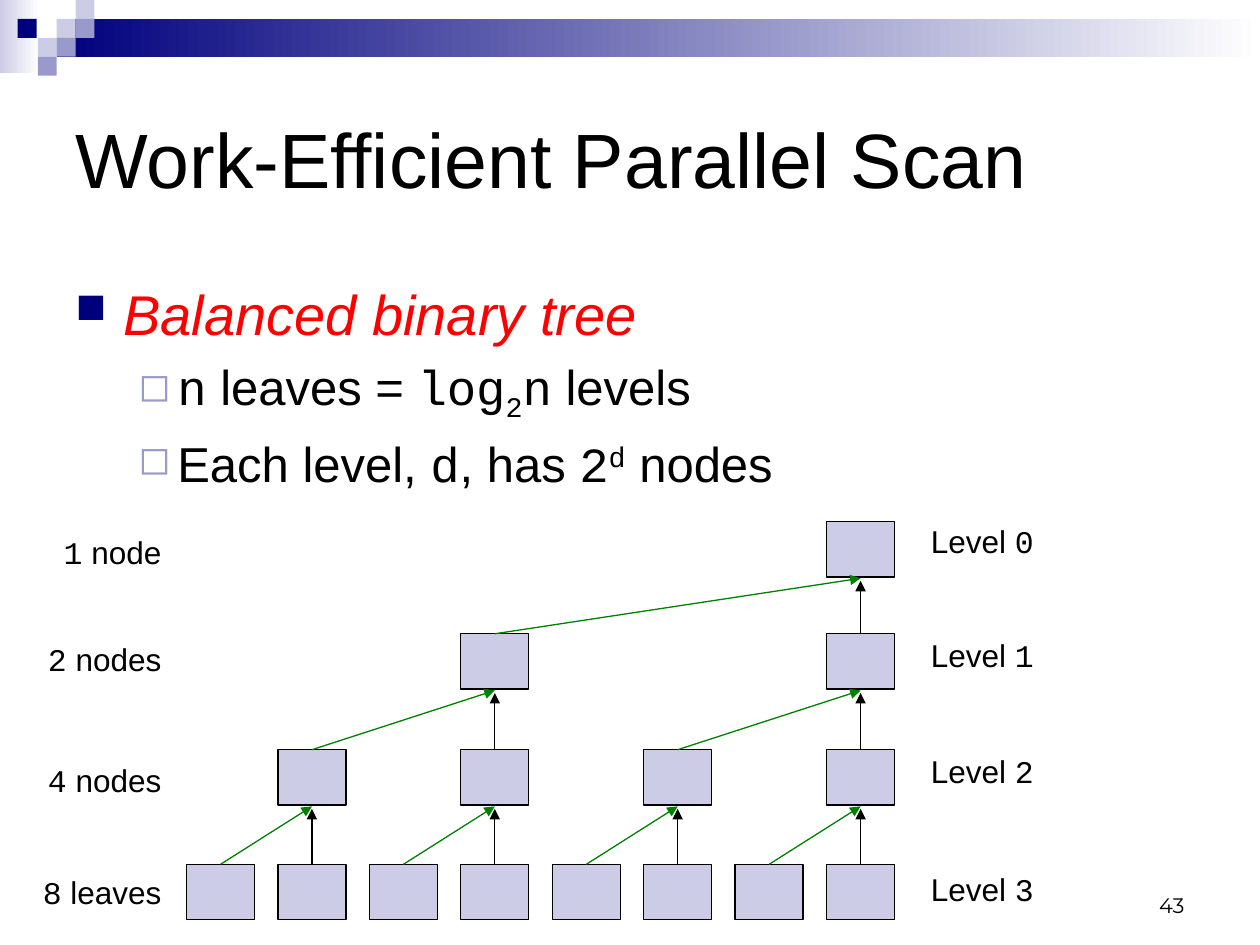
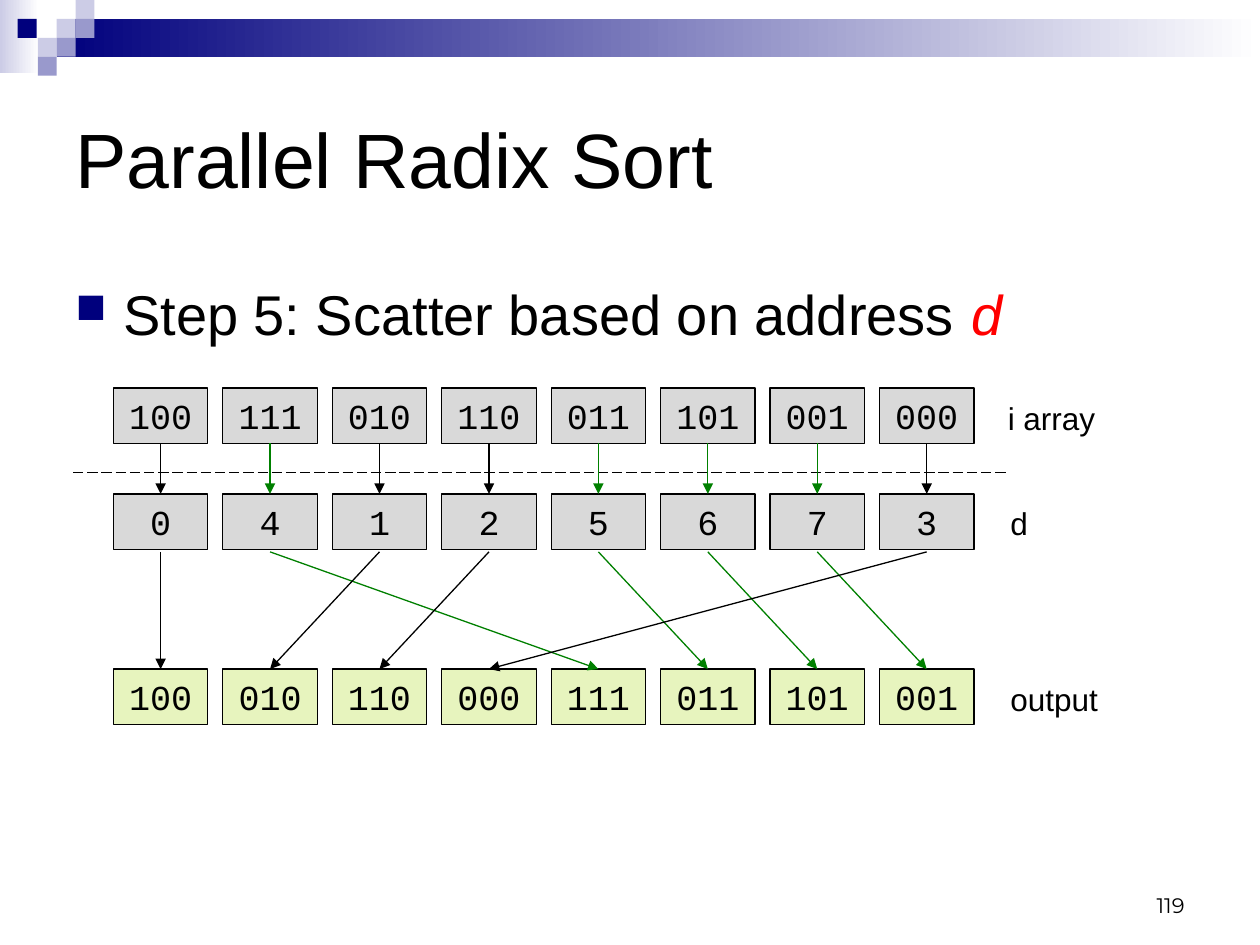
from lxml import etree
from pptx import Presentation
from pptx.dml.color import RGBColor
from pptx.enum.dml import MSO_LINE
from pptx.enum.shapes import MSO_CONNECTOR, MSO_SHAPE
from pptx.enum.text import MSO_ANCHOR, PP_ALIGN
from pptx.oxml.ns import qn
from pptx.util import Inches, Pt

RECT = MSO_SHAPE.RECTANGLE
STRAIGHT = MSO_CONNECTOR.STRAIGHT
LONG_DASH = MSO_LINE.LONG_DASH
TOP, MIDDLE, BOTTOM = MSO_ANCHOR.TOP, MSO_ANCHOR.MIDDLE, MSO_ANCHOR.BOTTOM
LEFT, CENTER, RIGHT = PP_ALIGN.LEFT, PP_ALIGN.CENTER, PP_ALIGN.RIGHT

COLORS = {
    "black": "000000", "white": "FFFFFF", "navy": "00007D", "red": "FF0000",
    "lilac": "CCCCE6", "violet": "9999CC", "green": "008000",
    "gray": "D9D9D9", "lime": "E7F4BE",
}
RGB = {name: RGBColor.from_string(value) for name, value in COLORS.items()}

# Run formats
TITLE = {"name": "Arial", "size": Pt(44)}
BODY = {"name": "Arial", "size": Pt(32)}
KEY = {**BODY, "italic": True, "color": "red"}
SUB = {"name": "Arial", "size": Pt(28)}
SUB_CODE = {**SUB, "name": "Courier New"}
LABEL = {"name": "Arial", "size": Pt(18)}
LABEL_CODE = {**LABEL, "name": "Courier New"}
CELL = {"name": "Courier New", "size": Pt(20)}
NUMBER = {"name": "Montserrat", "size": Pt(12)}

# Bullets by level: character, colour, size %, left margin, hanging indent, space before
BULLETS = [("■", "navy", 75, 0.38, 0.38, 6.4), ("◻", "violet", 80, 0.81, 0.31, 5.6)]


def add_box(s, at, paras=(), fill=None, outline=False, anchor=TOP, align=LEFT,
            wrap=True, bullets=False):
    """Add a text box, or a rectangle when a fill is given; paras holds (level, runs)."""
    at = [Inches(v) for v in at]
    if fill:
        sp = s.shapes.add_shape(RECT, *at)
        sp.shadow.inherit = False
        if isinstance(fill, tuple):
            sp.fill.gradient()
            sp.fill.gradient_angle = 0
            for stop, name in zip(sp.fill.gradient_stops, fill):
                stop.color.rgb = RGB[name]
        else:
            sp.fill.solid()
            sp.fill.fore_color.rgb = RGB[fill]
        if outline:
            sp.line.color.rgb = RGB["black"]
            sp.line.width = Pt(0.75)
        else:
            sp.line.fill.background()
    else:
        sp = s.shapes.add_textbox(*at)
    tf = sp.text_frame
    tf.word_wrap = wrap
    tf.vertical_anchor = anchor
    for i, (level, runs) in enumerate(paras):
        p = tf.add_paragraph() if i else tf.paragraphs[0]
        p.alignment = align
        if bullets:
            char, color, size, margin, hang, before = BULLETS[level]
            p.level = level
            p.space_before = Pt(before)
            pPr = p._p.get_or_add_pPr()
            pPr.set("marL", str(Inches(margin)))
            pPr.set("indent", str(-Inches(hang)))
            clr = etree.SubElement(pPr, qn("a:buClr"))
            etree.SubElement(clr, qn("a:srgbClr"), val=COLORS[color])
            etree.SubElement(pPr, qn("a:buSzPct"), val=str(size * 1000))
            etree.SubElement(pPr, qn("a:buChar"), char=char)
        for text, fmt in runs:
            r = p.add_run()
            r.text = text
            r.font.color.rgb = RGB[fmt.get("color", "black")]
            for key, value in fmt.items():
                if key == "baseline":
                    r._r.get_or_add_rPr().set("baseline", str(value * 1000))
                elif key != "color":
                    setattr(r.font, key, value)


def add_line(s, start, end, color="black", arrow=True):
    """Add a solid arrow, or a dashed line without a head."""
    c = s.shapes.add_connector(STRAIGHT, *[Inches(v) for v in (*start, *end)])
    c.line.color.rgb = RGB[color]
    c.line.width = Pt(0.75)
    if arrow:
        etree.SubElement(c.line._get_or_add_ln(), qn("a:tailEnd"), type="triangle")
    else:
        c.line.dash_style = LONG_DASH
    etree.SubElement(c._element.spPr, qn("a:effectLst"))


prs = Presentation()
prs.slide_width, prs.slide_height = Inches(10), Inches(7.5)

# Title, page number, body height and body text of each slide
pages = [
    ("Work-Efficient Parallel Scan", "43", 1.67, [
        (0, [("Balanced binary tree", KEY)]),
        (1, [("n", SUB_CODE), (" leaves = ", SUB), ("log", SUB_CODE),
             ("2", {**SUB_CODE, "baseline": -25}), ("n", SUB_CODE), (" levels", SUB)]),
        (1, [("Each level, ", SUB), ("d", SUB_CODE), (", has ", SUB), ("2", SUB_CODE),
             ("d", {**SUB_CODE, "baseline": 30}), (" nodes", SUB)]),
    ]),
    ("Parallel Radix Sort", "119", 0.67, [
        (0, [("Step 5: Scatter based on address ", BODY), ("d", KEY)]),
    ]),
]
squares = [(0.45, 0.15, "lilac"), (0.6, 0, "lilac"), (0.6, 0.15, "violet"),
           (0.3, 0.3, "lilac"), (0.14, 0.15, "navy"), (0.45, 0.3, "violet"),
           (0.3, 0.45, "violet")]

# Shared frame: bands, squares, title, body, page number
for title, number, height, body in pages:
    s = prs.slides.add_slide(prs.slide_layouts[6])
    add_box(s, (0, 0, 0.31, 0.58), fill=("lilac", "white"))
    add_box(s, (0.45, 0.15, 9.55, 0.3), fill=("navy", "white"))
    for x, y, color in squares:
        add_box(s, (x, y, 0.15, 0.15), fill=color)
    add_box(s, (0.5, 0.5, 9, 1.5), [(0, [(title, TITLE)])], anchor=MIDDLE)
    add_box(s, (0.5, 2.17, 9, height), body, bullets=True)
    add_box(s, (7.17, 6.83, 2.33, 0.5), [(0, [(number, NUMBER)])],
            anchor=BOTTOM, align=RIGHT)
tree, radix = prs.slides

# Slide 1: tree nodes, each parent above its right child
NODE_W, BOX_H = 0.54, 0.44
node_x = [1.48 + 5.08 / 7 * i for i in range(8)]
level_y = [4.14, 5.03, 5.95, 6.86]
for level, y in enumerate(level_y):
    step = 8 // 2 ** level
    for col in range(step - 1, 8, step):
        add_box(tree, (node_x[col], y, NODE_W, BOX_H), fill="lilac", outline=True)

# Arrows from left (green) and right (black) children to their parent
for level in (3, 2, 1):
    step = 8 // 2 ** level
    y, parent_y = level_y[level], level_y[level - 1] + BOX_H
    for right in range(2 * step - 1, 8, 2 * step):
        parent_x = node_x[right] + NODE_W / 2
        left_x = node_x[right - step] + NODE_W / 2
        add_line(tree, (parent_x, y), (parent_x, parent_y + 0.03))
        add_line(tree, (left_x, y), (parent_x, parent_y + 0.01), "green")

# Node counts on the left, level names on the right
counts = [(" node", 4.18, 4.09), (" nodes", 5.03, 5), (" nodes", 5.99, 5.92),
          (" leaves", 6.88, 6.86)]
for level, (noun, count_y, name_y) in enumerate(counts):
    add_box(tree, (0.24, count_y, 1.14, 0.4),
            [(0, [(str(2 ** level), LABEL_CODE), (noun, LABEL)])], align=RIGHT, wrap=False)
    add_box(tree, (7.29, name_y, 1.03, 0.4),
            [(0, [("Level ", LABEL), (str(level), LABEL_CODE)])], wrap=False)

# Slide 2: input keys, their addresses and the scattered output
keys = ["100", "111", "010", "110", "011", "101", "001", "000"]
addresses = [0, 4, 1, 2, 5, 6, 7, 3]
output = [keys[addresses.index(slot)] for slot in range(8)]
CELL_W = 0.75
cell_x = [0.9 + 6.08 / 7 * i for i in range(8)]
keys_y, addresses_y, output_y = 3.08, 3.92, 5.31

add_line(radix, (0.58, 3.75), (8, 3.75), arrow=False)
rows = [(keys, keys_y, "gray", "i array", 7.9, 3.12, 0.9),
        (addresses, addresses_y, "gray", "d", 7.92, 3.95, 0.34),
        (output, output_y, "lime", "output", 7.92, 5.35, 0.9)]
for values, y, fill, label, label_x, label_y, label_w in rows:
    for x, value in zip(cell_x, values):
        add_box(radix, (x, y, CELL_W, BOX_H), [(0, [(str(value), CELL)])],
                fill=fill, outline=True, anchor=MIDDLE, align=CENTER)
    add_box(radix, (label_x, label_y, label_w, 0.4), [(0, [(label, LABEL)])], wrap=False)

# Arrows: key to address, address to output slot; green when the last bit is 1
for x, key, slot in zip(cell_x, keys, addresses):
    color = "green" if key.endswith("1") else "black"
    mid = x + CELL_W / 2
    add_line(radix, (mid, keys_y + BOX_H), (mid, addresses_y), color)
    add_line(radix, (mid, addresses_y + BOX_H + 0.02),
             (cell_x[slot] + CELL_W / 2, output_y), color)

prs.save("out.pptx")
